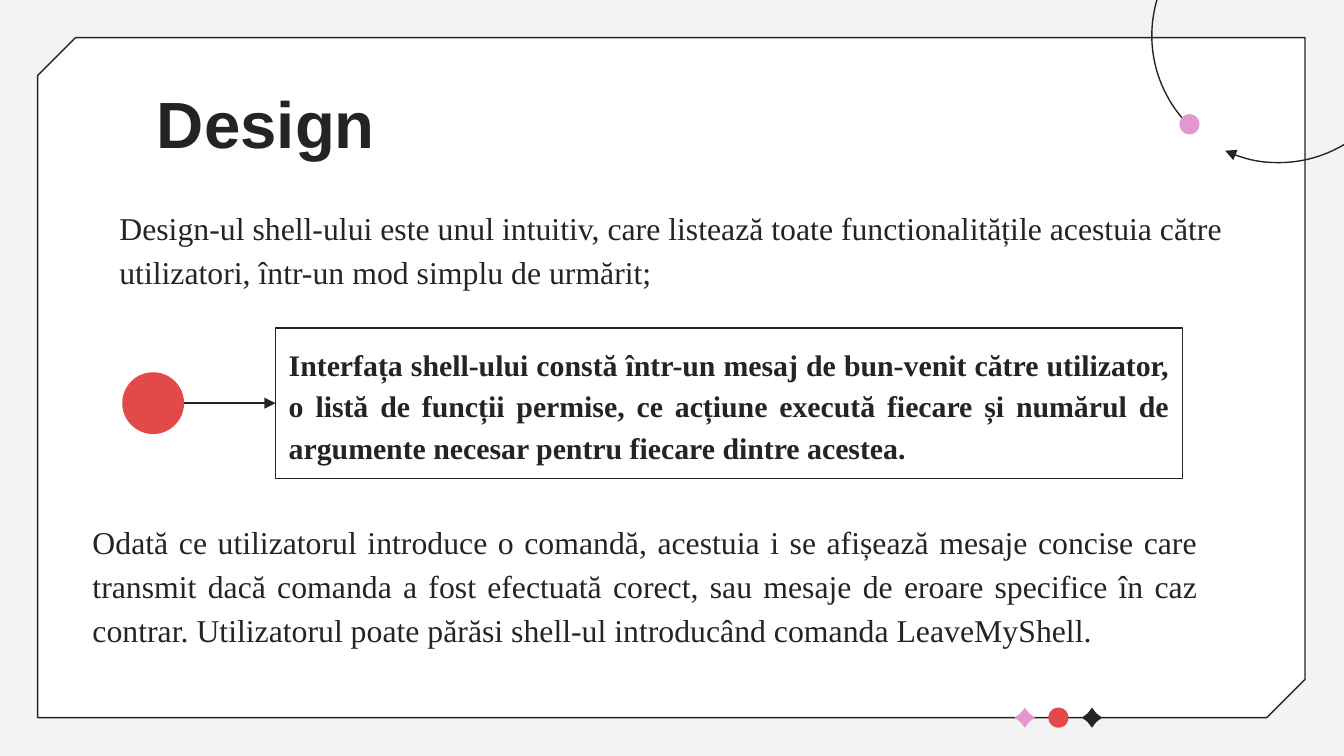
from lxml.etree import SubElement as Sub
from pptx import Presentation
from pptx.dml.color import RGBColor as Rgb
from pptx.enum.shapes import MSO_CONNECTOR as Conn, MSO_SHAPE as Kind
from pptx.enum.text import MSO_ANCHOR as Anchor, PP_ALIGN as Align
from pptx.oxml.ns import qn
from pptx.util import Inches, Pt

# Grid of square cells: 100 columns by 56.25 rows
COLS, ROWS = 100, 56.25
CELL = Inches(0.1)
HUES = {"back": "F3F3F3", "panel": "FFFFFF", "ink": "242424",
        "pink": "E496CE", "red": "E44949"}
SERIF = "Times New Roman"

INTRO = ("Design-ul shell-ului este unul intuitiv, care listează toate "
         "functionalitățile acestuia către utilizatori, într-un mod simplu "
         "de urmărit;")
FACE = ("Interfața shell-ului constă într-un mesaj de bun-venit către "
        "utilizator, o listă de funcții permise, ce acțiune execută fiecare "
        "și numărul de argumente necesar pentru fiecare dintre acestea.")
USE = ("Odată ce utilizatorul introduce o comandă, acestuia i se afișează "
       "mesaje concise care transmit dacă comanda a fost efectuată corect, "
       "sau mesaje de eroare specifice în caz contrar. Utilizatorul poate "
       "părăsi shell-ul introducând comanda LeaveMyShell.")


def hue(name):
    return Rgb.from_string(HUES[name])


def cells(*nums):
    return [round(n * CELL) for n in nums]


def draw_line(line):
    line.color.rgb = hue("ink")
    line.width = Pt(0.75)


def add_tip(line):
    ln = line._get_or_add_ln()
    Sub(ln, qn("a:tailEnd"), type="triangle")


def add_form(slide, kind, box, fill=None, edge=False, adj=()):
    form = slide.shapes.add_shape(kind, *cells(*box))
    form.shadow.inherit = False
    if fill:
        form.fill.solid()
        form.fill.fore_color.rgb = hue(fill)
    else:
        form.fill.background()
    if edge:
        draw_line(form.line)
    else:
        form.line.fill.background()
    for i, val in enumerate(adj):
        form.adjustments[i] = val
    return form


def add_mark(slide, kind, mid, size, fill, adj=()):
    x, y = mid
    box = (x - size / 2, y - size / 2, size, size)
    return add_form(slide, kind, box, fill, adj=adj)


def put_text(form, words, size, font=SERIF, bold=False, align=Align.LEFT,
             space=1.15, after=0, anchor=Anchor.TOP, top=1):
    frame = form.text_frame
    frame.word_wrap = True
    frame.vertical_anchor = anchor
    frame.margin_left = frame.margin_right = frame.margin_bottom = CELL
    frame.margin_top = round(top * CELL)
    para = frame.paragraphs[0]
    para.alignment = align
    para.line_spacing = space
    para.space_after = Pt(after)
    run = para.add_run()
    run.text = words
    run.font.name, run.font.size, run.font.bold = font, Pt(size), bold
    run.font.color.rgb = hue("ink")


def add_text(slide, box, words, size, **look):
    put_text(slide.shapes.add_textbox(*cells(*box)), words, size, **look)


def add_arrow(slide, start, rect):
    x, y = cells(*start)
    arrow = slide.shapes.add_connector(Conn.STRAIGHT, x, y, rect.left, y)
    arrow.end_connect(rect, 1)
    draw_line(arrow.line)
    add_tip(arrow.line)
    Sub(arrow._element.spPr, qn("a:effectLst"))


def add_decor(slide):
    # Panel with two cut corners
    edge, wide, high = 2.8, 94.3, 50.6
    add_form(slide, Kind.SNIP_2_DIAG_RECTANGLE, (edge, edge, wide, high),
             "panel", True, (0.056, 0))

    # Three marks along the panel's lower edge
    marks = [(Kind.STAR_4_POINT, "pink"), (Kind.OVAL, "red"),
             (Kind.STAR_4_POINT, "ink")]
    for i, (kind, fill) in enumerate(marks):
        adj = (0.303,) if kind == Kind.STAR_4_POINT else ()
        add_mark(slide, kind, (76.25 + 2.5 * i, edge + high), 1.5, fill, adj)

    # Round arrow in the corner; an arc's angles count 0.6 per degree
    arc = add_form(slide, Kind.ARC, (85.7, -6.8, 18.9, 18.9), edge=True,
                   adj=(135 * 0.6, 115 * 0.6))
    add_tip(arc.line)
    add_mark(slide, Kind.OVAL, (88.5, 9.25), 1.5, "pink")


def main():
    deck = Presentation()
    deck.slide_width, deck.slide_height = cells(COLS, ROWS)
    slide = deck.slides.add_slide(deck.slide_layouts[6])
    slide.background.fill.solid()
    slide.background.fill.fore_color.rgb = hue("back")
    add_decor(slide)

    # Title and text
    add_text(slide, (10.7, 4.7, 81.4, 6.3), "Design", 35, font="Arial",
             bold=True, space=1, top=1.5)
    add_text(slide, (7.9, 14.1, 84.3, 11.2), INTRO, 17, after=16)
    add_text(slide, (5.9, 37.5, 84.3, 11.2), USE, 17, after=16,
             align=Align.JUSTIFY)

    # Framed note with its pointer
    note = add_form(slide, Kind.RECTANGLE, (20.5, 24.4, 67.5, 11.2),
                    edge=True)
    put_text(note, FACE, 16, bold=True, align=Align.JUSTIFY,
             anchor=Anchor.MIDDLE)
    add_mark(slide, Kind.OVAL, (11.4, 30), 4.6, "red")
    add_arrow(slide, (13.7, 30), note)
    deck.save("out.pptx")


if __name__ == "__main__":
    main()
